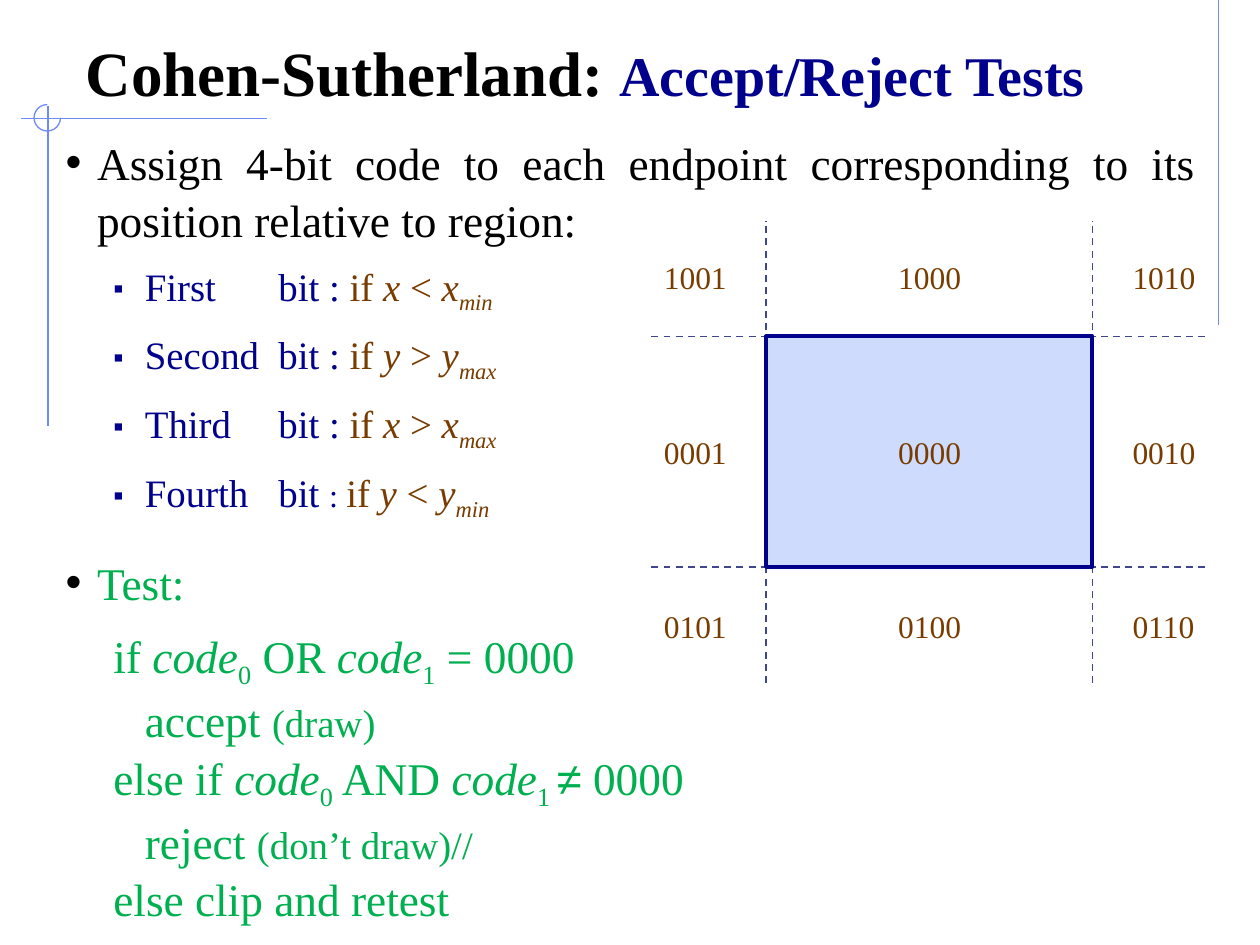
"""Build the Cohen-Sutherland accept/reject tests slide."""
from lxml.etree import SubElement
from pptx import Presentation
from pptx.dml.color import RGBColor
from pptx.enum.dml import MSO_LINE
from pptx.enum.shapes import MSO_CONNECTOR, MSO_SHAPE
from pptx.enum.text import MSO_ANCHOR, MSO_AUTO_SIZE, PP_ALIGN
from pptx.oxml.ns import qn
from pptx.util import Inches, Pt

BLACK = RGBColor(0x00, 0x00, 0x00)
NAVY = RGBColor(0x00, 0x00, 0x8C)
BROWN = RGBColor(0x78, 0x3C, 0x00)
GREEN = RGBColor(0x00, 0xB0, 0x50)
ORNAMENT = RGBColor(0x6F, 0x89, 0xF7)
GUIDE = RGBColor(0x40, 0x45, 0x8C)
WINDOW_FILL = RGBColor(0xCF, 0xDB, 0xFD)
SERIF = "Times New Roman"
LARGE, MEDIUM, SMALL = 25.9, 22.2, 18.5


def add_run(paragraph, text, size, color, style="", font=SERIF):
    run = paragraph.add_run()
    run.text = text
    run.font.name = font
    run.font.size = Pt(size)
    run.font.color.rgb = color
    run.font.bold = "bold" in style
    run.font.italic = "italic" in style
    if "sub" in style:
        run._r.get_or_add_rPr().set("baseline", "-25000")


def add_line(x1, y1, x2, y2, color, width):
    line = slide.shapes.add_connector(
        MSO_CONNECTOR.STRAIGHT, Inches(x1), Inches(y1), Inches(x2), Inches(y2))
    line.line.color.rgb = color
    line.line.width = Pt(width)
    SubElement(line._element.spPr, qn("a:effectLst"))
    return line


prs = Presentation()
prs.slide_width, prs.slide_height = Inches(10), Inches(7.5)
slide = prs.slides.add_slide(prs.slide_layouts[1])

for ends in [(9.67, 0, 9.67, 2.58), (2.12, 0.94, 0.17, 0.94), (0.38, 0.84, 0.38, 3.38)]:
    add_line(*ends, ORNAMENT, 0.75)
arc = slide.shapes.add_shape(
    MSO_SHAPE.ARC, Inches(0.27), Inches(0.83), Inches(0.21), Inches(0.21))
arc.adjustments[0], arc.adjustments[1] = 0, 162
arc.shadow.inherit = False
arc.fill.background()
arc.line.color.rgb = ORNAMENT
arc.line.width = Pt(0.75)

title = slide.shapes.title
title.left, title.top = Inches(0.58), Inches(0.25)
title.width, title.height = Inches(8.83), Inches(0.67)
title.text_frame.auto_size = MSO_AUTO_SIZE.NONE
title.text_frame.vertical_anchor = MSO_ANCHOR.BOTTOM
heading = title.text_frame.paragraphs[0]
heading.alignment = PP_ALIGN.LEFT
add_run(heading, "Cohen-Sutherland: ", 36, BLACK, "bold")
add_run(heading, "Accept/Reject Tests", 32, NAVY, "bold")

body = slide.placeholders[1]
body.left, body.top = Inches(0.42), Inches(1)
body.width, body.height = Inches(9.17), Inches(6.17)
body.text_frame.auto_size = MSO_AUTO_SIZE.NONE

bit_rules = [("First", "x", "<", "min"), ("Second", "y", ">", "max"),
             ("Third", "x", ">", "max"), ("Fourth", "y", "<", "min")]
code_0 = [("code", LARGE, GREEN, "italic"), ("0", LARGE, GREEN, "sub")]
code_1 = ("code", LARGE, GREEN, "italic")

content = [("•", 0, [("Assign 4-bit code to each endpoint corresponding to its "
                      "position relative to region:", LARGE, BLACK)])]
for ordinal, axis, sign, bound in bit_rules:
    colon_size = SMALL if ordinal == "Fourth" else MEDIUM
    content.append(("▪", 7.5, [
        (f"{ordinal}\tbit ", MEDIUM, NAVY), (": ", colon_size, NAVY),
        ("if ", MEDIUM, BROWN), (axis, MEDIUM, BROWN, "italic"),
        (f" {sign} ", MEDIUM, BROWN), (axis, MEDIUM, BROWN, "italic"),
        (bound, MEDIUM, BROWN, "italic sub")]))
content += [
    ("•", 17.5, [("Test:", LARGE, GREEN)]),
    ("", 8.8, [("if ", LARGE, GREEN), *code_0, (" OR ", LARGE, GREEN), code_1,
               ("1", LARGE, GREEN, "sub"), (" = 0000", LARGE, GREEN)]),
    ("", 0, [("\taccept ", LARGE, GREEN), ("(draw)", MEDIUM, GREEN)]),
    ("", 0, [("else if ", LARGE, GREEN), *code_0, (" AND ", LARGE, GREEN), code_1,
             ("1 ", LARGE, GREEN, "sub"), ("≠", LARGE, GREEN, "", "Arial"),
             (" 0000", LARGE, GREEN)]),
    ("", 0, [("\treject ", LARGE, GREEN), ("(don’t draw)//", MEDIUM, GREEN)]),
    ("", 0, [("else clip and retest", LARGE, GREEN)]),
]

for index, (bullet, space_before, runs) in enumerate(content):
    paragraph = body.text_frame.add_paragraph() if index else body.text_frame.paragraphs[0]
    top_level = bullet == "•"
    paragraph.level = 0 if top_level else 1
    paragraph.alignment = PP_ALIGN.JUSTIFY
    paragraph.line_spacing = 1.05
    paragraph.space_before = Pt(space_before)
    props = paragraph._p.get_or_add_pPr()
    props.set("marL", str(Inches(0.25 if top_level else 0.63)))
    props.set("indent", str(Inches(-0.25)))
    if bullet:
        bullet_color = SubElement(props, qn("a:buClr"))
        SubElement(bullet_color, qn("a:srgbClr"), val=str(BLACK if top_level else NAVY))
        SubElement(props, qn("a:buSzPct"), val="100000" if top_level else "75000")
        SubElement(props, qn("a:buFont"), typeface="Arial")
        SubElement(props, qn("a:buChar"), char=bullet)
    else:
        SubElement(props, qn("a:buNone"))
    if bullet == "▪":
        tabs = SubElement(props, qn("a:tabLst"))
        SubElement(tabs, qn("a:tab"), pos=str(Inches(1.69)), algn="l")
    for run in runs:
        add_run(paragraph, *run)

left, right, top, bottom = 6.08, 8.67, 2.67, 4.5
for ends in [(left, 5.42, left, 1.75), (right, 5.42, right, 1.75),
             (5.17, top, 9.58, top), (5.17, bottom, 9.58, bottom)]:
    add_line(*ends, GUIDE, 1).line.dash_style = MSO_LINE.DASH

window = slide.shapes.add_shape(
    MSO_SHAPE.RECTANGLE, Inches(left), Inches(top), Inches(right - left), Inches(bottom - top))
window.shadow.inherit = False
window.fill.solid()
window.fill.fore_color.rgb = WINDOW_FILL
window.line.color.rgb = NAVY
window.line.width = Pt(2.25)

for row, vertical_bits in enumerate(["10", "00", "01"]):
    for column, horizontal_bits in enumerate(["01", "00", "10"]):
        region = slide.shapes.add_textbox(
            Inches(5.17 + 1.86 * column), Inches(2 + 1.385 * row), Inches(0.7), Inches(0.4))
        region.text_frame.word_wrap = False
        add_run(region.text_frame.paragraphs[0], vertical_bits + horizontal_bits, 18, BROWN)

prs.save("out.pptx")
